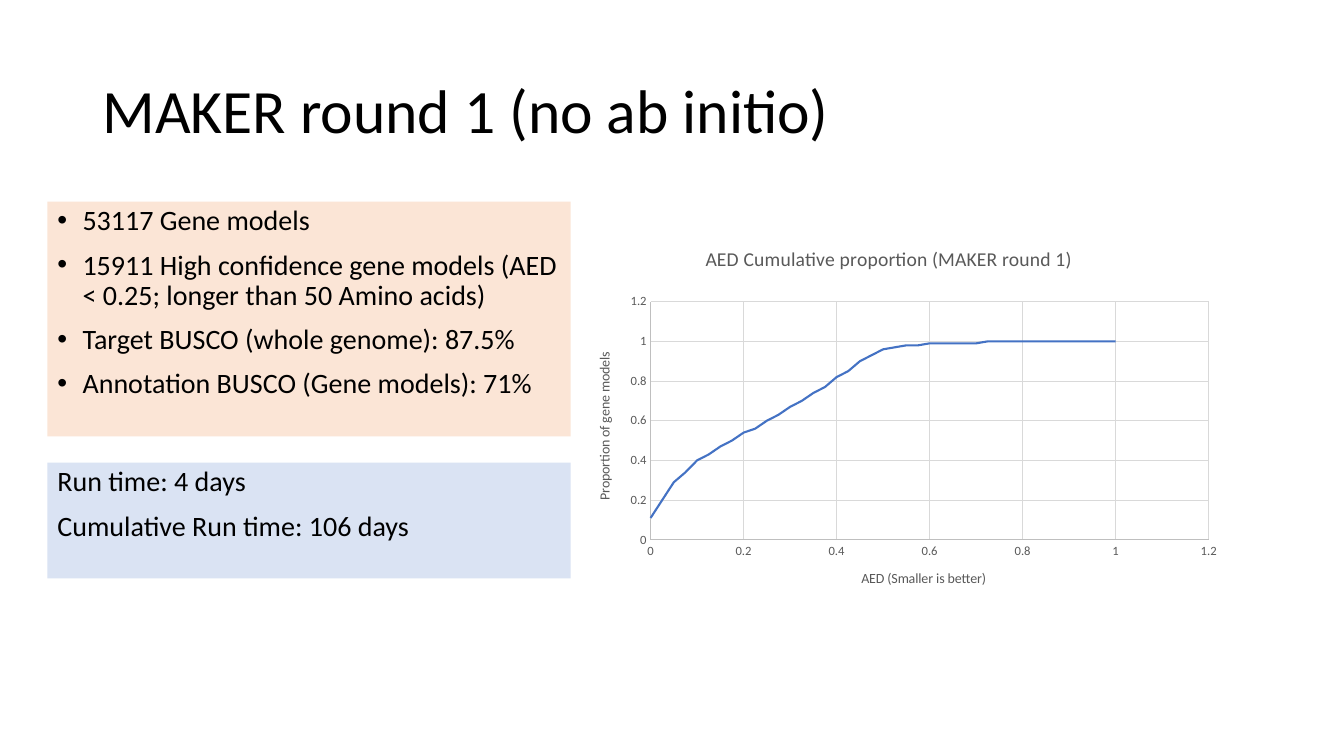
from lxml import etree
from pptx import Presentation
from pptx.chart.data import XyChartData
from pptx.dml.color import RGBColor
from pptx.enum.chart import XL_CHART_TYPE as ChartType, XL_TICK_MARK as TickMark
from pptx.enum.shapes import MSO_SHAPE as Preset
from pptx.enum.text import MSO_ANCHOR as Anchor, PP_ALIGN as Align
from pptx.oxml import parse_xml
from pptx.oxml.ns import nsdecls, qn
from pptx.util import Inches, Pt

THEME = {
    "font": "Calibri",
    "color": {name: RGBColor.from_string(value) for name, value in {
        "text": "000000", "muted": "595959", "axis": "BFBFBF", "grid": "D9D9D9",
        "curve": "4472C4", "results": "FBE5D6", "timing": "DAE3F3"}.items()},
    "size": {"title": Pt(44), "body": Pt(20), "chart": Pt(14), "axis": Pt(10), "tick": Pt(9)},
}
COLOR, SIZE = THEME["color"], THEME["size"]

presentation = Presentation()
presentation.slide_width, presentation.slide_height = Inches(13.33), Inches(7.5)
slide = presentation.slides.add_slide(presentation.slide_layouts[6])

# Grid of 100 columns by 100 rows
COLUMN, ROW = presentation.slide_width / 100, presentation.slide_height / 100


def cells(left, top, width, height):
    return [round(n * unit) for n, unit in zip((left, top, width, height), (COLUMN, ROW) * 2)]


def style(font, size, color):
    for name, value in {"name": THEME["font"], "size": SIZE[size], "bold": False}.items():
        setattr(font, name, value)
    font.color.rgb = COLOR[color]


# Title and the two text panels
blocks = [
    {"box": (6.9, 5.33, 86.27, 19.33), "size": "title", "anchor": Anchor.MIDDLE, "before": 0,
     "lines": ["MAKER round 1 (no ab initio)"]},
    {"box": (3.53, 26.67, 38.93, 31.07), "size": "body", "fill": "results", "bullet": True,
     "lines": ["53117 Gene models",
               "15911 High confidence gene models (AED < 0.25; longer than 50 Amino acids)",
               "Target BUSCO (whole genome): 87.5%",
               "Annotation BUSCO (Gene models): 71%"]},
    {"box": (3.53, 61.2, 38.93, 15.33), "size": "body", "fill": "timing",
     "lines": ["Run time: 4 days", "Cumulative Run time: 106 days"]},
]
for block in blocks:
    if "fill" in block:
        shape = slide.shapes.add_shape(Preset.RECTANGLE, *cells(*block["box"]))
        shape.shadow.inherit = False
        shape.fill.solid()
        shape.fill.fore_color.rgb = COLOR[block["fill"]]
        shape.line.fill.background()
    else:
        shape = slide.shapes.add_textbox(*cells(*block["box"]))
    frame = shape.text_frame
    frame.word_wrap = True
    frame.vertical_anchor = block.get("anchor", Anchor.TOP)
    frame.text = "\n".join(block["lines"])
    for paragraph in frame.paragraphs:
        for name, value in {"alignment": Align.LEFT, "line_spacing": 0.9,
                            "space_before": Pt(block.get("before", 10))}.items():
            setattr(paragraph, name, value)
        style(paragraph.runs[0].font, block["size"], "text")
        if block.get("bullet"):
            properties = paragraph._p.get_or_add_pPr()
            properties.set("marL", str(Inches(0.25)))
            properties.set("indent", str(-Inches(0.25)))
            etree.SubElement(properties, qn("a:buFont")).set("typeface", "Arial")
            etree.SubElement(properties, qn("a:buChar")).set("char", "•")

# Cumulative curve, one point every 0.025 of AED
proportions = [0.11, 0.2, 0.29, 0.34, 0.4, 0.43, 0.47, 0.5, 0.54, 0.56, 0.6, 0.63, 0.67, 0.7,
               0.74, 0.77, 0.82, 0.85, 0.9, 0.93, 0.96, 0.97, 0.98, 0.98] + [0.99] * 5 + [1] * 12
chart_data = XyChartData()
curve_data = chart_data.add_series("Series 1")
for step, proportion in enumerate(proportions):
    curve_data.add_data_point(step / 40, proportion)
chart = slide.shapes.add_chart(ChartType.XY_SCATTER_SMOOTH_NO_MARKERS,
                               *cells(40.81, 30.27, 50.64, 50.8), chart_data).chart
style(chart.font, "axis", "text")
chart.has_legend = False
curve = chart.plots[0].series[0]
curve.smooth = True
curve.format.line.color.rgb = COLOR["curve"]
curve.format.line.width = Pt(1.5)
chart.plots[0].vary_by_categories = False

# Axes and titles
titled = [(chart, "AED Cumulative proportion (MAKER round 1)", "chart"),
          (chart.category_axis, "AED (Smaller is better)", "axis"),
          (chart.value_axis, "Proportion of gene models", "axis")]
for owner, text, size in titled:
    title = owner.chart_title if owner is chart else owner.axis_title
    title.text_frame.text = text
    style(title.text_frame.paragraphs[0].runs[0].font, size, "muted")
for axis in (chart.category_axis, chart.value_axis):
    for name, value in {"minimum_scale": 0, "maximum_scale": 1.2, "major_unit": 0.2,
                        "major_tick_mark": TickMark.NONE, "minor_tick_mark": TickMark.NONE,
                        "has_major_gridlines": True}.items():
        setattr(axis, name, value)
    axis.tick_labels.number_format = "General"
    axis.tick_labels.number_format_is_linked = False
    style(axis.tick_labels.font, "tick", "muted")
    for line, color in ((axis.format.line, "axis"), (axis.major_gridlines.format.line, "grid")):
        line.color.rgb = COLOR[color]
        line.width = Pt(0.75)

# Plot area as shares of the chart
plot_area = chart._chartSpace.chart.plotArea
for old_layout in plot_area.findall(qn("c:layout")):
    plot_area.remove(old_layout)
settings = {"layoutTarget": "inner", "xMode": "edge", "yMode": "edge",
            "x": 0.15, "y": 0.19, "w": 0.82, "h": 0.62}
layout = parse_xml(f"<c:layout {nsdecls('c')}><c:manualLayout/></c:layout>")
for name, value in settings.items():
    etree.SubElement(layout[0], qn(f"c:{name}")).set("val", str(value))
plot_area.insert(0, layout)

presentation.save("out.pptx")
